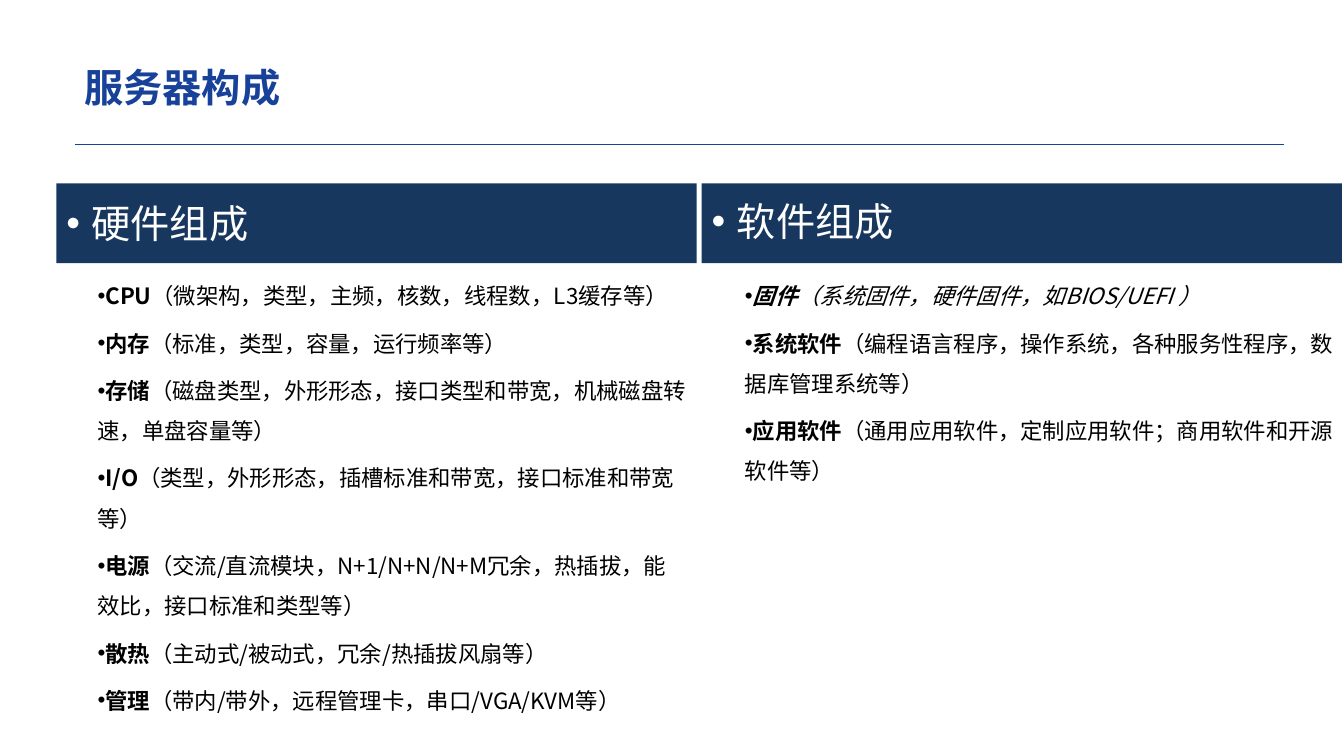
from lxml.etree import SubElement
from pptx import Presentation
from pptx.dml.color import RGBColor
from pptx.enum.shapes import MSO_CONNECTOR, MSO_SHAPE
from pptx.enum.text import MSO_ANCHOR, PP_ALIGN
from pptx.oxml.ns import qn
from pptx.util import Inches, Pt

FONT = "Noto Sans CJK SC"


def rgb(h):
    return RGBColor.from_string(h)


def write(p, parts, size=16, color="000000", font=FONT, spacing=1.5, before=0,
          bullet=False, margin=0, indent=0):
    p.alignment = PP_ALIGN.LEFT
    p.line_spacing, p.space_before = spacing, Pt(before)
    pPr = p._p.get_or_add_pPr()
    pPr.set("marL", str(Inches(margin)))
    pPr.set("indent", str(Inches(indent)))
    if bullet:
        SubElement(pPr, qn("a:buFont"), typeface="Arial")
        SubElement(pPr, qn("a:buChar"), char="•")
    for text, bold, italic in parts:
        r = p.add_run()
        r.text = text
        f = r.font
        f.name, f.size, f.bold, f.italic = font, Pt(size), bold, italic
        f.color.rgb = rgb(color)
        SubElement(r._r.get_or_add_rPr(), qn("a:ea"), typeface=FONT)


prs = Presentation()
prs.slide_width, prs.slide_height = Inches(13.33), Inches(7.5)
s = prs.slides.add_slide(prs.slide_layouts[6])

title = s.shapes.add_textbox(Inches(0.74), Inches(0.63), Inches(5.5), Inches(0.53))
title.text_frame.word_wrap = True
write(title.text_frame.paragraphs[0], [("服务器构成", True, False)],
      size=28, color="184199", spacing=0.9)

rule = s.shapes.add_connector(MSO_CONNECTOR.STRAIGHT, Inches(0.74), Inches(1.43),
                              Inches(12.74), Inches(1.43))
rule.line.color.rgb, rule.line.width = rgb("184199"), Pt(0.5)
SubElement(rule._element.spPr, qn("a:effectLst"))

columns = [
    (0.56, 0.56, "硬件组成", FONT, 1.0, [
        ("CPU", "（微架构，类型，主频，核数，线程数，L3缓存等）", False),
        ("内存", "（标准，类型，容量，运行频率等）", False),
        ("存储", "（磁盘类型，外形形态，接口类型和带宽，机械磁盘转速，单盘容量等）", False),
        ("I/O", "（类型，外形形态，插槽标准和带宽，接口标准和带宽等）", False),
        ("电源", "（交流/直流模块，N+1/N+N/N+M冗余，热插拔，能效比，接口标准和类型等）", False),
        ("散热", "（主动式/被动式，冗余/热插拔风扇等）", False),
        ("管理", "（带内/带外，远程管理卡，串口/VGA/KVM等）", False),
    ]),
    (6.96, 6.98, "软件组成", "Calibri", 0.9, [
        ("固件", "（系统固件，硬件固件，如BIOS/UEFI ）", True),
        ("系统软件", "（编程语言程序，操作系统，各种服务性程序，数据库管理系统等）", False),
        ("应用软件", "（通用应用软件，定制应用软件；商用软件和开源软件等）", False),
    ]),
]

for head_x, body_x, heading, font, spacing, items in columns:
    sp = s.shapes.add_shape(MSO_SHAPE.RECTANGLE, Inches(head_x), Inches(1.82),
                            Inches(6.35), Inches(0.79))
    sp.shadow.inherit = False
    sp.fill.solid()
    sp.fill.fore_color.rgb = rgb("17375E")
    sp.line.fill.background()
    tf = sp.text_frame
    tf.word_wrap, tf.vertical_anchor = True, MSO_ANCHOR.MIDDLE
    write(tf.paragraphs[0], [(heading, False, False)], size=28, color="FFFFFF",
          font=font, spacing=spacing, bullet=True, margin=0.25, indent=-0.25)

    body = s.shapes.add_textbox(Inches(body_x), Inches(2.62), Inches(6.35), Inches(4.88))
    tf = body.text_frame
    tf.word_wrap = True
    for i, (term, detail, italic) in enumerate(items):
        p = tf.paragraphs[0] if i == 0 else tf.add_paragraph()
        write(p, [(term, True, italic), (detail, False, italic)],
              before=5 if i else 0, bullet=True, margin=0.31)

prs.save("out.pptx")
